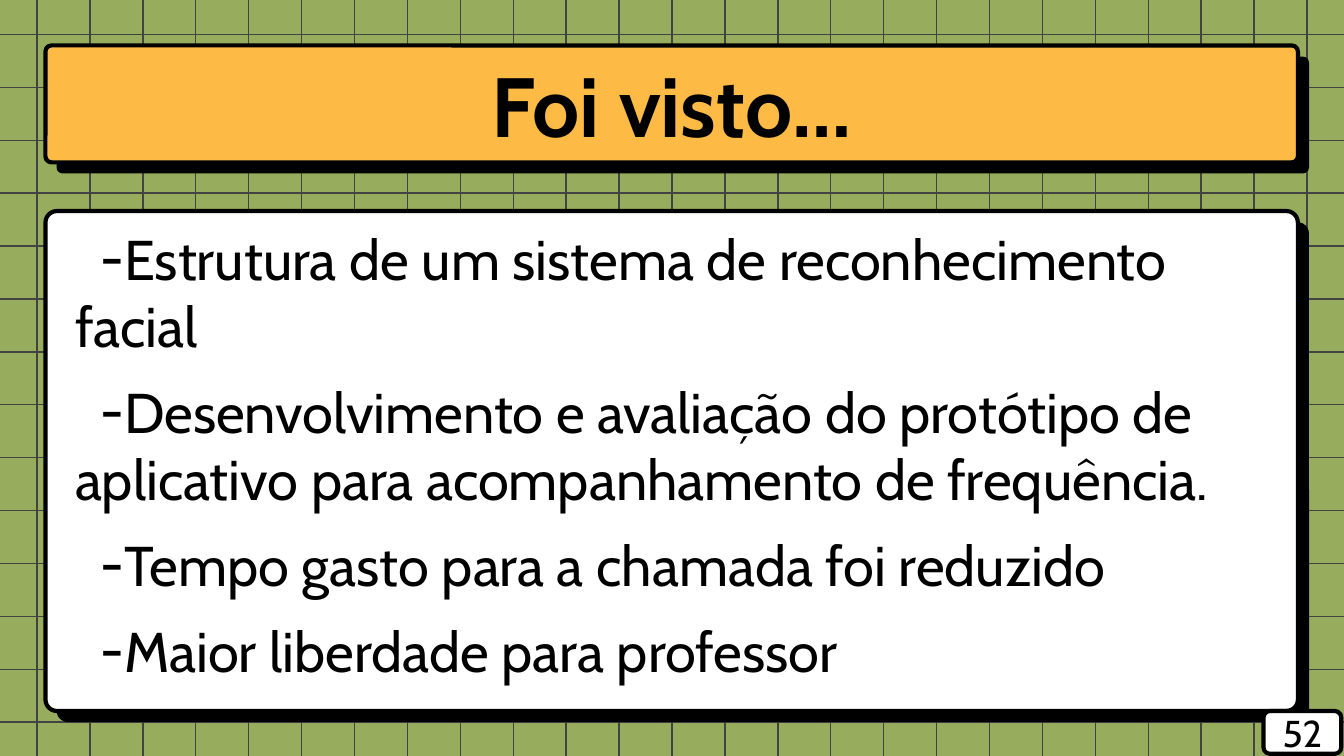
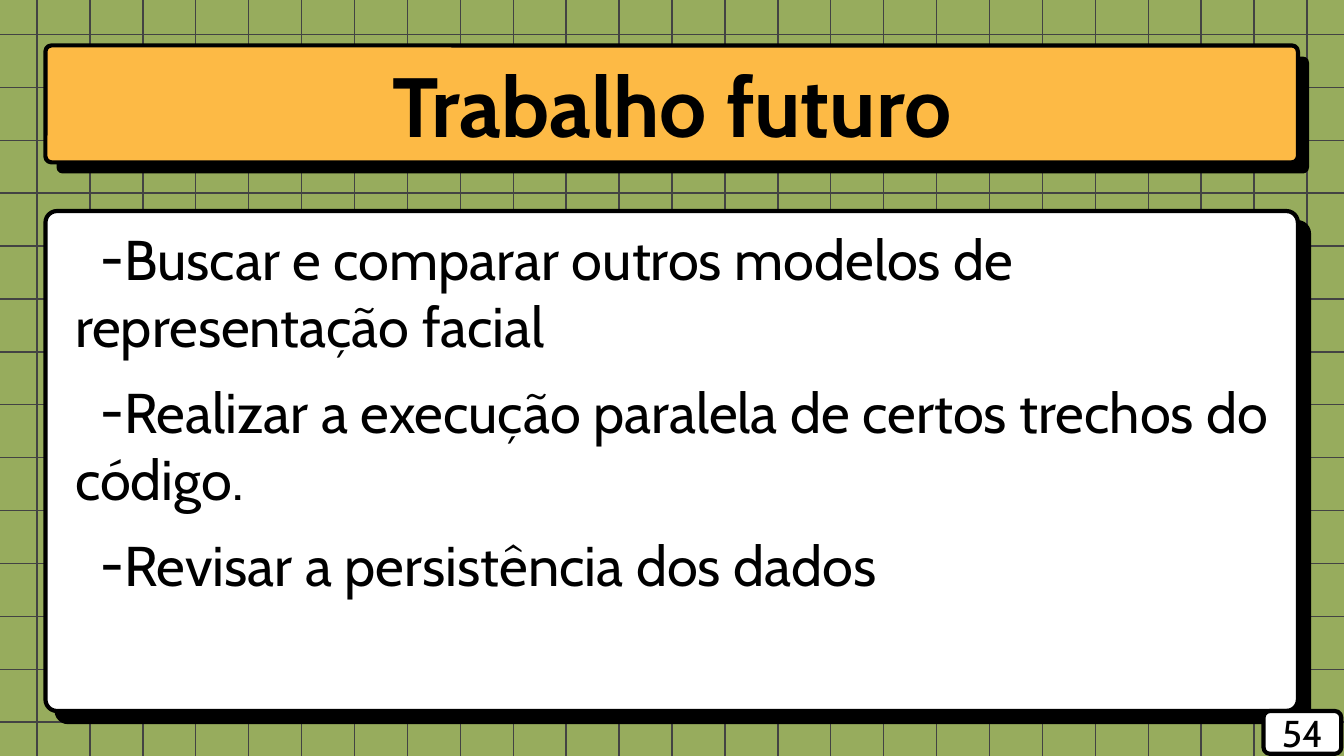
import pptx
import pptx.dml.color
import pptx.enum.shapes
import pptx.enum.text
import pptx.oxml
import pptx.oxml.ns
import pptx.util
from dataclasses import dataclass

Cm = pptx.util.Cm
Pt = pptx.util.Pt
Align = pptx.enum.text.PP_ALIGN
Anchor = pptx.enum.text.MSO_ANCHOR


@dataclass(frozen=True)
class Theme:
    green: str = "97AC5D"
    grid: str = "434343"
    gold: str = "FDBA45"
    white: str = "FFFFFF"
    black: str = "000000"
    font: str = "Cabin"
    title: float = 45
    body: float = 30
    number: float = 20
    edge: float = 2.25
    hair: float = 0.75


THEME = Theme()
SPACE = pptx.oxml.ns.nsdecls("a")
WIDE, HIGH = 25.4, 14.29
STEP = 1.0
GRID_X, GRID_Y = 0.7, 0.65
SHIFT = 0.21

# Boxes in cm: left, top, width, height
TITLE = (0.86, 0.86, 23.67, 2.21)
PANEL = (0.86, 3.99, 23.67, 9.45)
BADGE = (23.88, 13.44, 1.47, 0.81)

SLIDES = [
    dict(title="Foi visto…", number="52", edged=False, items=[
        "Estrutura de um sistema de reconhecimento facial",
        "Desenvolvimento e avaliação do protótipo de aplicativo "
        "para acompanhamento de frequência.",
        "Tempo gasto para a chamada foi reduzido",
        "Maior liberdade para professor"]),
    dict(title="Trabalho futuro", number="54", edged=True, items=[
        "Buscar e comparar outros modelos de representação facial",
        "Realizar a execução paralela de certos trechos do código.",
        "Revisar a persistência dos dados"]),
]


def color(code):
    return pptx.dml.color.RGBColor.from_string(code)


def apply(target, values):
    for name, value in values.items():
        setattr(target, name, value)


def lengths(box):
    return [Cm(part) for part in box]


def add_card(shapes, box, radius, fill, edged=True):
    """Rounded box, with or without a black edge."""
    card = shapes.add_shape(
        pptx.enum.shapes.MSO_SHAPE.ROUNDED_RECTANGLE, *lengths(box))
    card.adjustments[0] = radius
    card.shadow.inherit = False
    card.fill.solid()
    card.fill.fore_color.rgb = color(fill)
    if edged:
        card.line.color.rgb = color(THEME.black)
        card.line.width = Pt(THEME.edge)
    else:
        card.line.fill.background()


def add_raised(shapes, box, radius, fill, edged=False):
    """Card in front of a black offset card."""
    left, top, width, height = box
    under = (left + SHIFT, top + SHIFT, width, height)
    add_card(shapes, under, radius, THEME.black, edged)
    add_card(shapes, box, radius, fill)


def add_text(slide, box, lines, size, insets, anchor, align, bold=False):
    """Text box with one paragraph for each line."""
    frame = slide.shapes.add_textbox(*lengths(box)).text_frame
    left, top, right, bottom = lengths(insets)
    apply(frame, dict(word_wrap=True, vertical_anchor=anchor,
                      margin_left=left, margin_top=top,
                      margin_right=right, margin_bottom=bottom))
    for index, line in enumerate(lines):
        para = frame.paragraphs[0] if index == 0 else frame.add_paragraph()
        para.alignment = align
        run = para.add_run()
        run.text = line
        apply(run.font, dict(name=THEME.font, size=Pt(size), bold=bold))
        run.font.color.rgb = color(THEME.black)
    return frame


def add_dash(para):
    """Dash bullet on an indented first line."""
    props = para._p.get_or_add_pPr()
    props.set("marL", "0")
    props.set("indent", str(Cm(0.48)))
    for piece in (
            f'<a:buClr {SPACE}><a:srgbClr val="{THEME.black}"/></a:buClr>',
            f'<a:buFont {SPACE} typeface="{THEME.font}"/>',
            f'<a:buChar {SPACE} char="-"/>'):
        props.append(pptx.oxml.parse_xml(piece))


def draw_grid(slide, box):
    """Green ground with a square grid."""
    left, top, width, height = box
    ground = slide.background.fill
    ground.solid()
    ground.fore_color.rgb = color(THEME.green)
    right, bottom = left + width, top + height
    levels = [top + GRID_Y + STEP * row for row in range(14)]
    columns = [left + GRID_X + STEP * col for col in range(25)]
    for ends in ([(left, y, right, y) for y in levels],
                 [(x, top, x, bottom) for x in columns]):
        group = slide.shapes.add_group_shape()
        for end in ends:
            line = group.shapes.add_connector(
                pptx.enum.shapes.MSO_CONNECTOR.STRAIGHT, *lengths(end))
            line.line.color.rgb = color(THEME.grid)
            line.line.width = Pt(THEME.hair)
            line._element.spPr.append(
                pptx.oxml.parse_xml(f"<a:effectLst {SPACE}/>"))


def draw_panel(slide, box, items, edged):
    """White panel with the list."""
    shapes = slide.shapes.add_group_shape().shapes if edged else slide.shapes
    add_raised(shapes, box, 0.023, THEME.white, edged)
    left, top, width, height = box
    frame = add_text(slide, (left, top, width, height - 2), items,
                     THEME.body, (0.56, 0.25, 0.25, 0.25),
                     Anchor.TOP, Align.LEFT)
    for para in frame.paragraphs:
        add_dash(para)
    for para in frame.paragraphs[1:]:
        para.space_before = Pt(10)
    frame.paragraphs[-1].space_after = Pt(10)


def draw_title(slide, box, title):
    """Gold title band."""
    add_raised(slide.shapes, box, 0.052, THEME.gold)
    add_text(slide, box, [title], THEME.title, (0.25,) * 4,
             Anchor.MIDDLE, Align.CENTER, bold=True)


def draw_badge(slide, box, number):
    """Page number in the corner."""
    add_card(slide.shapes, box, 0.151, THEME.white)
    left, top, width, height = box
    add_text(slide, (left, top - 0.3, width, height + 0.6), [number],
             THEME.number, (0.15, 0, 0.15, 0), Anchor.MIDDLE, Align.CENTER)


def main():
    deck = pptx.Presentation()
    apply(deck, dict(slide_width=Cm(WIDE), slide_height=Cm(HIGH)))
    for page in SLIDES:
        slide = deck.slides.add_slide(deck.slide_layouts[6])
        draw_grid(slide, (0, 0, WIDE, HIGH))
        draw_panel(slide, PANEL, page["items"], page["edged"])
        draw_title(slide, TITLE, page["title"])
        draw_badge(slide, BADGE, page["number"])
    deck.save("out.pptx")


if __name__ == "__main__":
    main()
